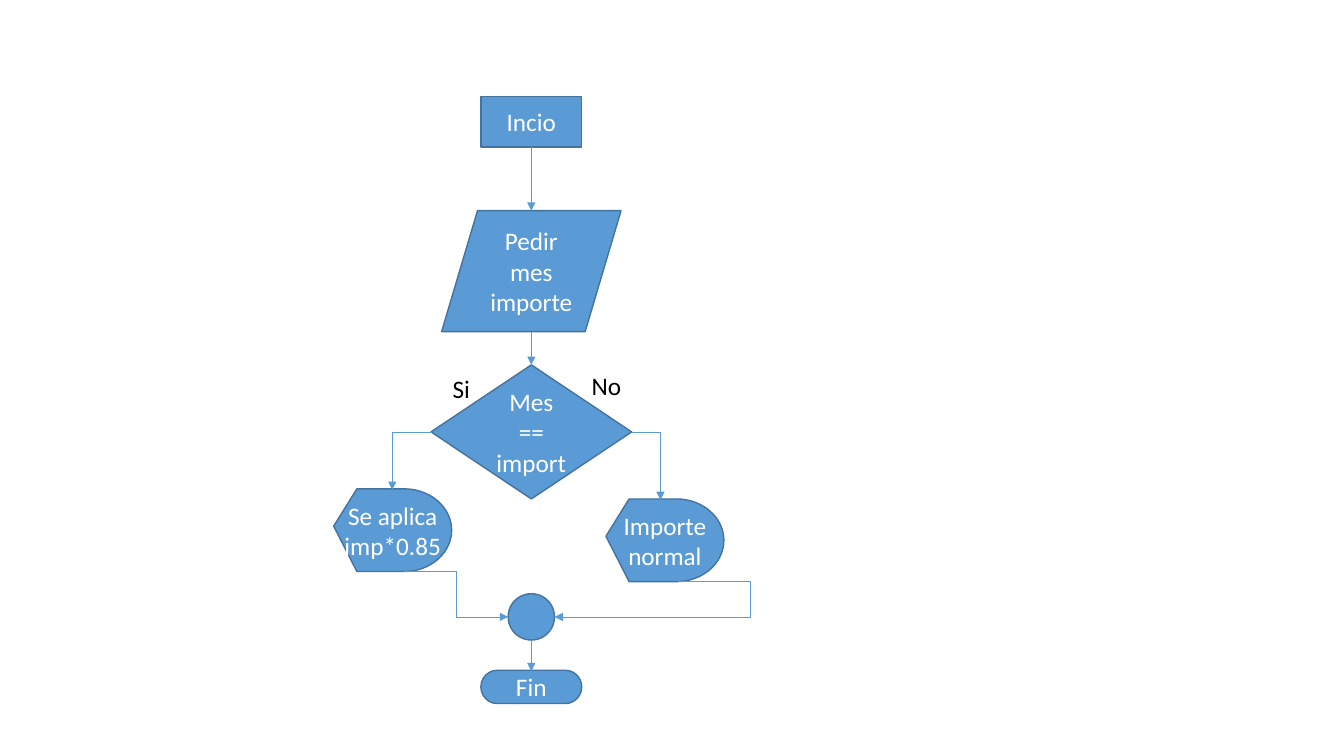
import math

from lxml import etree
from pptx import Presentation
from pptx import util as u
from pptx.dml.color import RGBColor
from pptx.enum import shapes, text
from pptx.oxml import ns

COLORS = {"fill": "5B9BD5", "outline": "43739E", "light": "FFFFFF", "dark": "000000"}
FONT = "Calibri"
AXIS = 5.27


def color(name):
    """Return the named colour."""
    return RGBColor.from_string(COLORS[name])


def write(shape, lines, color_name, alignment):
    """Write lines, separated by line breaks, into one paragraph."""
    paragraph = shape.text_frame.paragraphs[0]
    paragraph.alignment = alignment
    for index, line in enumerate(lines):
        if index:
            paragraph.add_line_break()
        run = paragraph.add_run()
        run.text = line
        run.font.name = FONT
        run.font.size = u.Pt(18)
        run.font.color.rgb = color(color_name)


def style_node(shape, lines):
    """Give a flowchart node its fill, outline and centred text."""
    shape.shadow.inherit = False
    shape.fill.solid()
    shape.fill.fore_color.rgb = color("fill")
    shape.line.color.rgb = color("outline")
    shape.line.width = u.Pt(1)
    shape.text_frame.word_wrap = True
    shape.text_frame.vertical_anchor = text.MSO_ANCHOR.MIDDLE
    write(shape, lines, "light", text.PP_ALIGN.CENTER)


def add_node(slide, kind, top, width, height, *lines):
    """Add a preset node centred on the main axis."""
    left = AXIS - width / 2
    shape = slide.shapes.add_shape(
        kind, u.Inches(left), u.Inches(top), u.Inches(width), u.Inches(height))
    style_node(shape, lines)


def add_display(slide, left, top, *lines):
    """Add a display node: pointed on the left, rounded on the right."""
    width, height, shoulder, curve_start = 1.17, 0.82, 0.23, 0.7
    angles = [math.radians(degree) for degree in range(-90, 91, 5)]
    outline = [(curve_start + (width - curve_start) * math.cos(angle),
                height / 2 * (1 + math.sin(angle))) for angle in angles]
    outline += [(shoulder, height), (0, 0.37)]
    builder = slide.shapes.build_freeform(u.Inches(left + shoulder), u.Inches(top))
    builder.add_line_segments(
        [(u.Inches(left + x), u.Inches(top + y)) for x, y in outline], close=True)
    shape = builder.convert_to_shape()
    style_node(shape, lines)
    shape.text_frame.margin_left = shape.text_frame.margin_right = u.Inches(0.05)


def add_label(slide, left, top, width, label):
    """Add a branch label."""
    box = slide.shapes.add_textbox(
        u.Inches(left), u.Inches(top), u.Inches(width), u.Inches(0.4))
    box.text_frame.word_wrap = False
    box.text_frame.auto_size = text.MSO_AUTO_SIZE.SHAPE_TO_FIT_TEXT
    write(box, [label], "dark", text.PP_ALIGN.LEFT)


def add_arrow(slide, start, end, kind=shapes.MSO_CONNECTOR.STRAIGHT):
    """Add a thin connector with an arrowhead at its end."""
    points = [u.Inches(value) for value in start + end]
    arrow = slide.shapes.add_connector(kind, *points)
    arrow.line.color.rgb = color("fill")
    arrow.line.width = u.Pt(0.5)
    etree.SubElement(arrow.line._get_or_add_ln(), ns.qn("a:tailEnd"), type="triangle")
    etree.SubElement(arrow._element.spPr, ns.qn("a:effectLst"))
    return arrow


def add_branch(slide, start, end):
    """Add an arrow that runs sideways and then down."""
    arrow = add_arrow(slide, start, end, shapes.MSO_CONNECTOR.ELBOW)
    arrow._element.spPr.find(ns.qn("a:prstGeom")).set("prst", "bentConnector2")


def add_merge(slide, start, end, bend):
    """Add an arrow with two corners at the given share of its width."""
    arrow = add_arrow(slide, start, end, shapes.MSO_CONNECTOR.ELBOW)
    geometry = arrow._element.spPr.find(ns.qn("a:prstGeom"))
    guides = geometry.find(ns.qn("a:avLst"))
    if guides is None:
        guides = etree.SubElement(geometry, ns.qn("a:avLst"))
    etree.SubElement(guides, ns.qn("a:gd"), name="adj1", fmla=f"val {round(bend * 100000)}")


def main():
    """Build the flowchart slide."""
    presentation = Presentation()
    presentation.slide_width = u.Inches(13.33)
    presentation.slide_height = u.Inches(7.5)
    slide = presentation.slides.add_slide(presentation.slide_layouts[6])
    kinds = shapes.MSO_SHAPE

    add_node(slide, kinds.FLOWCHART_PROCESS, 0.96, 1, 0.5, "Incio")
    add_node(slide, kinds.FLOWCHART_DATA, 2.09, 1.78, 1.2, "Pedir", "mes", "importe")
    add_node(slide, kinds.FLOWCHART_DECISION, 3.62, 1.99, 1.33, "Mes", "==", "import")
    add_label(slide, 4.39, 3.65, 0.38, "Si")
    add_label(slide, 5.77, 3.62, 0.5, "No")
    add_display(slide, 3.31, 4.85, "Se aplica", "imp*0.85")
    add_display(slide, 6.01, 4.95, "Importe normal")
    add_node(slide, kinds.OVAL, 5.89, 0.46, 0.46)
    add_node(slide, kinds.FLOWCHART_TERMINATOR, 6.65, 1, 0.33, "Fin")

    for top, bottom in ((1.46, 2.09), (3.29, 3.62), (6.35, 6.66)):
        add_arrow(slide, (AXIS, top), (AXIS, bottom))
    add_branch(slide, (4.28, 4.29), (3.89, 4.86))
    add_branch(slide, (6.27, 4.29), (6.55, 4.96))
    add_merge(slide, (4.01, 5.67), (5.04, 6.12), 0.5)
    add_merge(slide, (6.72, 5.77), (5.5, 6.12), -0.59)

    presentation.save("out.pptx")


main()
